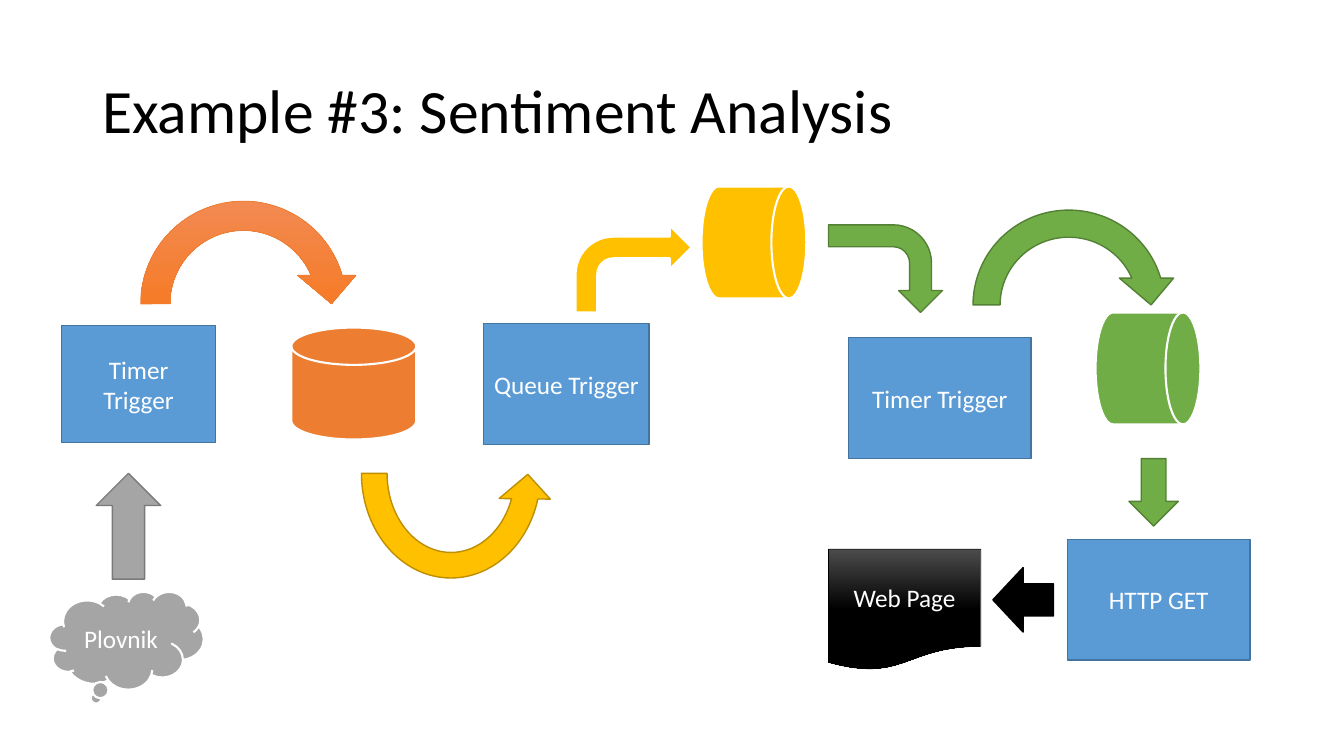
import copy
from dataclasses import dataclass

import pptx
import pptx.dml.color
import pptx.enum.shapes
import pptx.enum.text
import pptx.oxml.ns
import pptx.util

Pt = pptx.util.Pt
qn = pptx.oxml.ns.qn
SHAPE = pptx.enum.shapes.MSO_SHAPE
ALIGN = pptx.enum.text.PP_ALIGN
ANCHOR = pptx.enum.text.MSO_ANCHOR


@dataclass(frozen=True)
class Theme:
    font: str = "Calibri"
    title_size: float = 44
    label_size: float = 18
    black: str = "000000"
    white: str = "FFFFFF"
    blue: str = "5B9BD5"
    blue_line: str = "43739E"
    orange: str = "ED7D31"
    yellow: str = "FFC000"
    yellow_line: str = "BD8E00"
    green: str = "70AD47"
    green_line: str = "538035"
    gray: str = "A5A5A5"
    gray_line: str = "7A7A7A"
    orange_fade: tuple = ("F18C57", "F67B28", "E56C19")
    black_fade: tuple = ("4B4B4B", "000000", "000000")


T = Theme()


def rgb(color):
    return pptx.dml.color.RGBColor.from_string(color)


def add_run(p, text, size, color):
    r = p.add_run()
    r.text = text
    r.font.name, r.font.size = T.font, Pt(size)
    r.font.color.rgb = rgb(color)


def fade(sp, colors):
    """Fill top to bottom with evenly spaced colour stops."""
    sp.fill.gradient()
    sp.fill.gradient_angle = 270
    stops = sp.element.spPr.find(".//" + qn("a:gsLst"))
    while len(stops) < len(colors):
        stops.append(copy.deepcopy(stops[-1]))
    for i, (stop, color) in enumerate(zip(sp.fill.gradient_stops, colors)):
        stop.color.rgb = rgb(color)
        stop.position = i / (len(colors) - 1)


def add_title(s, text, box):
    tf = s.shapes.add_textbox(*map(Pt, box)).text_frame
    tf.word_wrap = True
    tf.vertical_anchor = ANCHOR.MIDDLE
    p = tf.paragraphs[0]
    p.line_spacing = 0.9
    add_run(p, text, T.title_size, T.black)


def add_figure(s, kind, box, fill, line, width=1, text=None, turn=0, mirror=False):
    sp = s.shapes.add_shape(kind, *map(Pt, box))
    sp.shadow.inherit = False
    sp.rotation = turn
    if mirror:
        sp.element.spPr.find(qn("a:xfrm")).set("flipH", "1")
    if isinstance(fill, tuple):
        fade(sp, fill)
    else:
        sp.fill.solid()
        sp.fill.fore_color.rgb = rgb(fill)
    sp.line.color.rgb = rgb(line)
    sp.line.width = Pt(width)
    if text:
        tf = sp.text_frame
        tf.word_wrap = True
        tf.vertical_anchor = ANCHOR.MIDDLE
        p = tf.paragraphs[0]
        p.alignment = ALIGN.CENTER
        add_run(p, text, T.label_size, T.white)
    return sp


def add_function(s, text, box):
    add_figure(s, SHAPE.RECTANGLE, box, T.blue, T.blue_line, text=text)


def add_store(s, kind, box, fill):
    add_figure(s, kind, box, fill, T.white, 1.5)


def main():
    prs = pptx.Presentation()
    prs.slide_width, prs.slide_height = Pt(960), Pt(540)
    s = prs.slides.add_slide(prs.slide_layouts[6])
    add_title(s, "Example #3: Sentiment Analysis", (66, 28.8, 828, 104.4))

    # Functions
    add_function(s, "Timer Trigger", (43.9, 232.6, 110.2, 83.5))
    add_function(s, "Queue Trigger", (345.6, 231.1, 118.1, 86.4))
    add_function(s, "Timer Trigger", (606.2, 241.2, 130.3, 86.4))
    add_function(s, "HTTP GET", (762.5, 385.2, 130.3, 86.4))

    # Queue and stores
    add_store(s, SHAPE.FLOWCHART_MAGNETIC_DISK, (208.1, 234, 89.3, 79.9), T.orange)
    drum = SHAPE.FLOWCHART_DIRECT_ACCESS_STORAGE
    add_store(s, drum, (501.1, 133.2, 74.9, 79.9), T.yellow)

    # Message source and web page
    add_figure(s, SHAPE.CLOUD_CALLOUT, (35.3, 422.6, 110.2, 69.8),
               T.gray, T.white, 1.5, text="Plovnik")
    add_figure(s, SHAPE.FLOWCHART_DOCUMENT, (591.8, 392.4, 108.7, 86.4),
               T.black_fade, T.black, 0.5, text="Web Page")

    # Curved arrows
    add_figure(s, SHAPE.CIRCULAR_ARROW, (90, 133.2, 167.8, 167.8),
               T.orange_fade, T.orange, 0.5)
    upturn = add_figure(s, SHAPE.CIRCULAR_ARROW, (249.1, 254.2, 146.2, 167.8),
                        T.yellow, T.yellow_line, turn=180, mirror=True)
    upturn.adjustments[1] = 10.98
    add_figure(s, SHAPE.CIRCULAR_ARROW, (685.4, 140.4, 156.2, 154.8),
               T.green, T.green_line)
    add_figure(s, SHAPE.BENT_ARROW, (411.1, 161.3, 82.8, 61.9),
               T.yellow, T.white, 1.5)
    add_figure(s, SHAPE.BENT_ARROW, (601.2, 151.2, 62.6, 81.4),
               T.green, T.green_line, turn=90)

    # Straight arrows
    add_figure(s, SHAPE.RIGHT_ARROW, (54, 352.8, 75.6, 46.1),
               T.gray, T.gray_line, turn=270)
    add_figure(s, SHAPE.RIGHT_ARROW, (709.2, 405.4, 43.2, 46.1),
               T.black, T.black, turn=180)
    add_figure(s, SHAPE.DOWN_ARROW, (806.4, 327.6, 35.3, 48.2),
               T.green, T.green_line)

    # Result store, in front of its arrow
    add_store(s, drum, (782.6, 223.2, 74.9, 79.9), T.green)

    prs.save("out.pptx")


if __name__ == "__main__":
    main()
